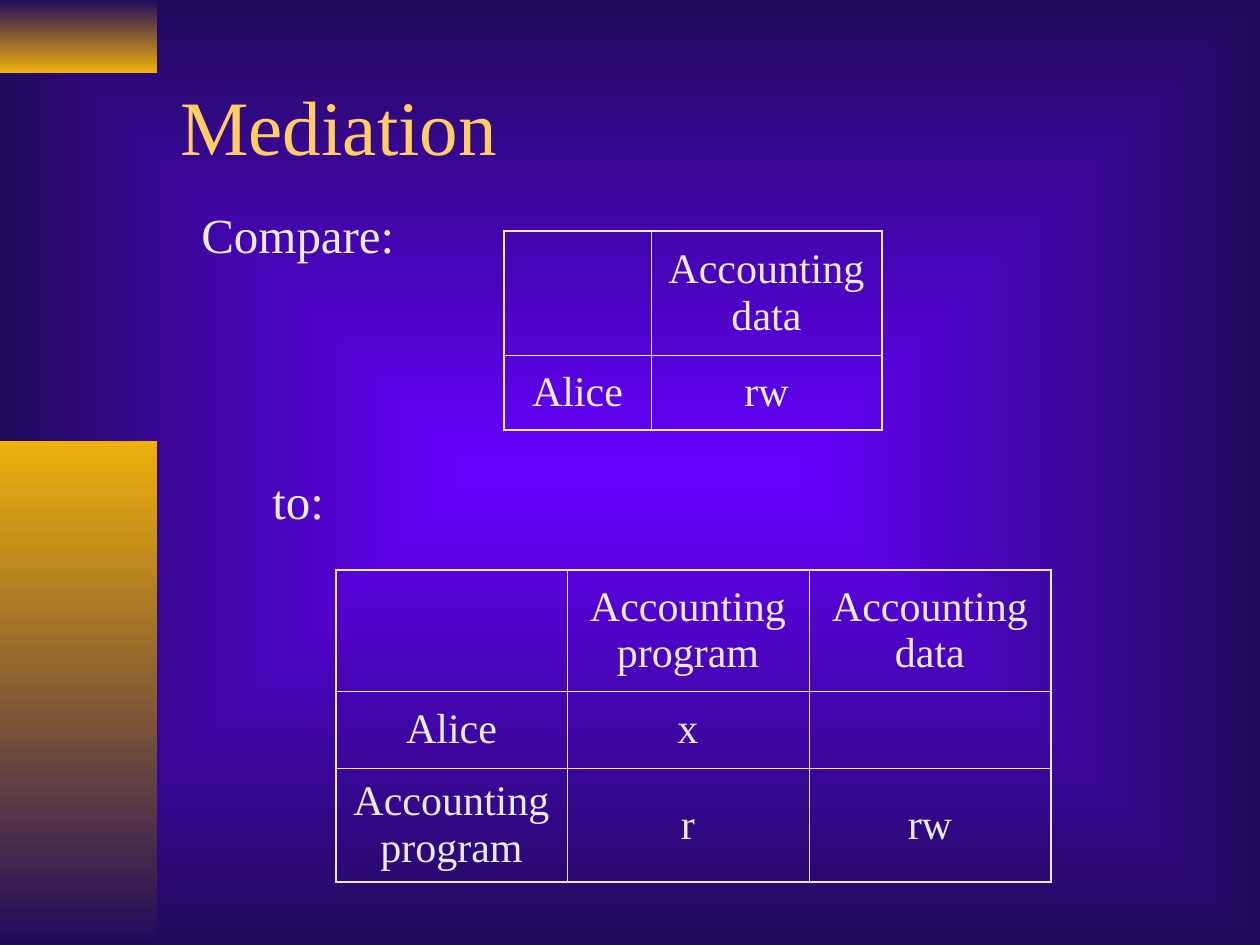
from lxml.etree import SubElement
from pptx import Presentation
from pptx.dml.color import RGBColor
from pptx.enum.shapes import MSO_SHAPE
from pptx.enum.text import MSO_ANCHOR, MSO_AUTO_SIZE, PP_ALIGN
from pptx.oxml import parse_xml
from pptx.oxml.ns import nsdecls, qn
from pptx.util import Emu, Pt

FONT = "Times New Roman"
NIGHT, VIOLET, GOLD = "200B5B", "6600FF", "EEB00B"
TITLE_COLOR, TEXT_COLOR = "FFCC66", "EAEAEA"
OUTER_LINE, INNER_LINE = 1.08, 0.45


def px(value):
    """Turn px, at 126 to the inch, into EMU."""
    return Emu(round(value * 914400 / 126))


def color(value):
    """Turn a hex string into a colour."""
    return RGBColor.from_string(value)


def set_gradient(fill, start, end):
    """Give a fill a two-colour gradient from top to bottom."""
    fill.gradient()
    fill.gradient_angle = 270
    for stop, value in zip(fill.gradient_stops, (start, end)):
        stop.color.rgb = color(value)


def add_run(paragraph, text, size, value):
    """Add one styled run to a paragraph."""
    run = paragraph.add_run()
    run.text = text
    run.font.name = FONT
    run.font.size = Pt(size)
    run.font.color.rgb = color(value)


def paint_background(slide):
    """Fill the slide with a rectangular glow from its centre."""
    set_gradient(slide.background.fill, VIOLET, NIGHT)
    gradient = slide.element.find(".//" + qn("a:gradFill"))
    gradient.remove(gradient.find(qn("a:lin")))
    glow = SubElement(gradient, qn("a:path"), {"path": "rect"})
    SubElement(glow, qn("a:fillToRect"), dict.fromkeys("ltrb", "50000"))


def add_bar(slide, box, start, end):
    """Add a gradient bar without an outline."""
    bar = slide.shapes.add_shape(MSO_SHAPE.RECTANGLE, *map(px, box))
    bar.shadow.inherit = False
    bar.line.fill.background()
    set_gradient(bar.fill, start, end)


def add_text(slide, box, text, size, value, anchor=MSO_ANCHOR.TOP, wrap=False):
    """Add a one-paragraph text box."""
    shape = slide.shapes.add_textbox(*map(px, box))
    frame = shape.text_frame
    frame.word_wrap = wrap
    frame.auto_size = MSO_AUTO_SIZE.NONE if wrap else MSO_AUTO_SIZE.SHAPE_TO_FIT_TEXT
    frame.vertical_anchor = anchor
    add_run(frame.paragraphs[0], text, size, value)


def set_borders(cell, widths):
    """Draw the left, right, top and bottom borders of a cell."""
    properties = cell._tc.get_or_add_tcPr()
    for index, (side, width) in enumerate(zip("LRTB", widths)):
        properties.insert(index, parse_xml(
            f'<a:ln{side} {nsdecls("a")} w="{Pt(width)}"><a:solidFill>'
            f'<a:srgbClr val="{TEXT_COLOR}"/></a:solidFill></a:ln{side}>'))


def add_access_table(slide, left, top, widths, heights, rows):
    """Add an access matrix with a heavier outer frame."""
    shape = slide.shapes.add_table(len(heights), len(widths), px(left), px(top),
                                   px(sum(widths)), px(sum(heights)))
    table = shape.table
    table.first_row = table.horz_banding = False
    for column, width in zip(table.columns, widths):
        column.width = px(width)
    last_row, last_column = len(heights) - 1, len(widths) - 1
    for i, texts in enumerate(rows):
        table.rows[i].height = px(heights[i])
        for j, text in enumerate(texts):
            cell = table.cell(i, j)
            cell.fill.background()
            cell.vertical_anchor = MSO_ANCHOR.MIDDLE
            outer = (j == 0, j == last_column, i == 0, i == last_row)
            set_borders(cell, [OUTER_LINE if edge else INNER_LINE for edge in outer])
            if text:
                paragraph = cell.text_frame.paragraphs[0]
                paragraph.alignment = PP_ALIGN.CENTER
                add_run(paragraph, text, 24, TEXT_COLOR)


def build_mediation(slide):
    """Place the bars, title, labels and both access matrices."""
    paint_background(slide)
    add_bar(slide, (0, 0, 157, 73), NIGHT, GOLD)
    add_bar(slide, (0, 441, 157, 504), GOLD, NIGHT)
    add_text(slide, (168, 42, 1071, 166), "Mediation", 44, TITLE_COLOR,
             MSO_ANCHOR.MIDDLE, True)
    add_access_table(slide, 504, 231, (147, 231), (124, 75), [
        ("", "Accounting data"),
        ("Alice", "rw"),
    ])
    add_access_table(slide, 336, 570, (231, 242, 242), (121, 77, 114), [
        ("", "Accounting program", "Accounting data"),
        ("Alice", "x", ""),
        ("Accounting program", "r", "rw"),
    ])
    add_text(slide, (189, 198, 218, 72), "Compare:", 28, TEXT_COLOR)
    add_text(slide, (260, 464, 77, 72), "to:", 28, TEXT_COLOR)


def main():
    """Build and save the presentation."""
    presentation = Presentation()
    presentation.slide_width, presentation.slide_height = px(1260), px(945)
    build_mediation(presentation.slides.add_slide(presentation.slide_layouts[6]))
    presentation.save("out.pptx")


if __name__ == "__main__":
    main()
